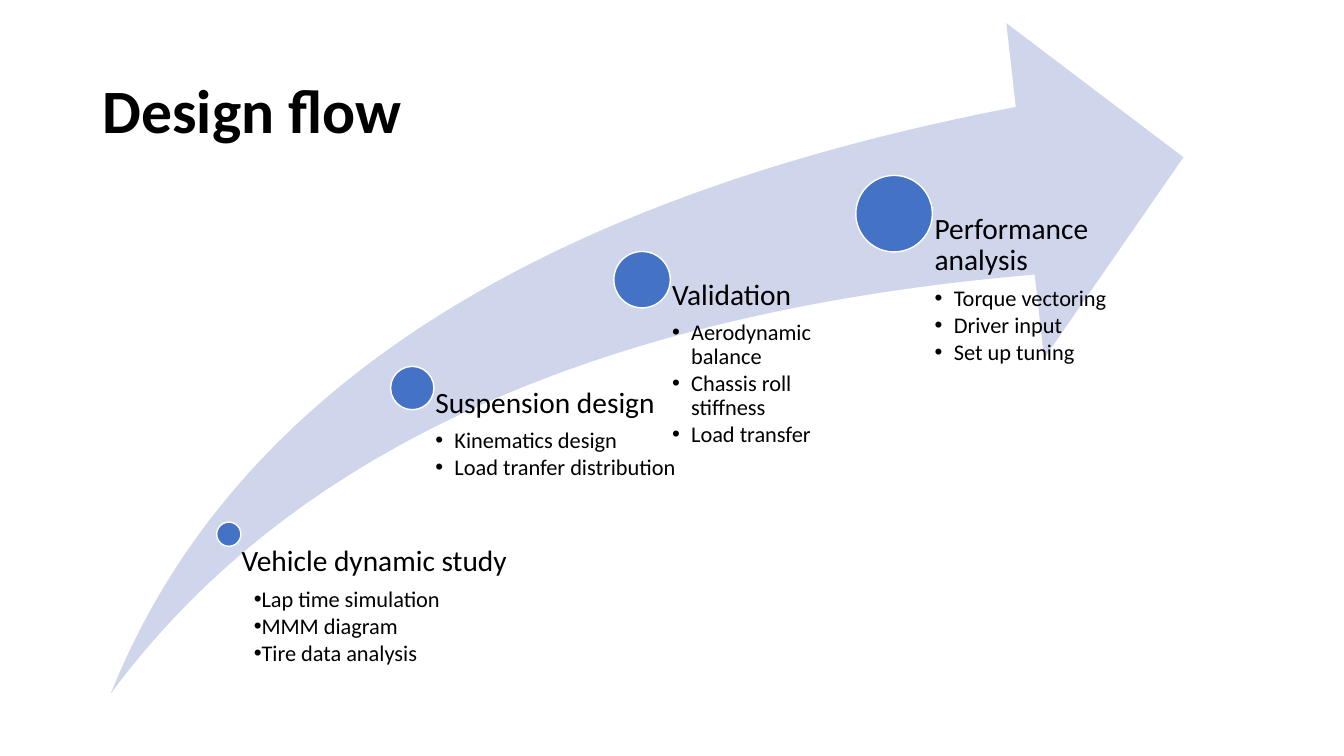
from dataclasses import dataclass

from lxml.etree import SubElement
from pptx import Presentation
from pptx.dml.color import RGBColor
from pptx.enum.shapes import MSO_SHAPE
from pptx.enum.text import MSO_ANCHOR
from pptx.oxml.ns import qn
from pptx.util import Inches, Pt


@dataclass(frozen=True)
class Theme:
    font: str = "Calibri"
    ink: str = "000000"
    swoosh: str = "CFD5EA"
    dot: str = "4472C4"
    outline: str = "FFFFFF"
    title: int = 44
    heading: int = 21
    bullet: int = 16


@dataclass(frozen=True)
class Stage:
    x: float  # centre of the dot, in grid columns
    y: float  # centre of the dot, in grid rows
    size: float
    width: float
    heading: str
    bullets: tuple
    drop: float = 0  # rows from the dot centre to the text
    margin: float = 1.9
    hanging: float = 1.9


THEME = Theme()
COLS, ROWS = 133.33, 75  # ten grid cells to the inch
TEXT_BOTTOM = 68.9

STAGES = (
    Stage(22.7, 53, 2.4, 28.2, "Vehicle dynamic study",
          ("Lap time simulation", "MMM diagram", "Tire data analysis"),
          drop=1.2, margin=1.2, hanging=0),
    Stage(40.9, 38.5, 4.3, 29.1, "Suspension design",
          ("Kinematics design", "Load tranfer distribution")),
    Stage(63.7, 27.75, 5.6, 22.4, "Validation",
          ("Aerodynamic balance", "Chassis roll stiffness", "Load transfer")),
    Stage(88.7, 21.2, 7.6, 22.4, "Performance analysis",
          ("Torque vectoring", "Driver input", "Set up tuning")),
)


def cells(n):
    return Inches(n / 10)


def add_filled(slide, kind, x, y, w, h, fill, line=None):
    sp = slide.shapes.add_shape(kind, *map(cells, (x, y, w, h)))
    sp.shadow.inherit = False
    sp.fill.solid()
    sp.fill.fore_color.rgb = RGBColor.from_string(fill)
    if line:
        sp.line.color.rgb = RGBColor.from_string(line)
        sp.line.width = Pt(1)
    else:
        sp.line.fill.background()
    return sp


def add_text_frame(slide, x, y, w, h):
    tf = slide.shapes.add_textbox(*map(cells, (x, y, w, h))).text_frame
    tf.word_wrap = True
    return tf


def write(p, text, size, bold=False, after=0):
    p.text = text
    p.line_spacing = 0.9
    p.space_after = Pt(after)
    font = p.runs[0].font
    font.name, font.size, font.bold = THEME.font, Pt(size), bold
    font.color.rgb = RGBColor.from_string(THEME.ink)


def add_bullet(p, margin, hanging):
    pPr = p._p.get_or_add_pPr()
    pPr.set("marL", str(cells(margin)))
    pPr.set("indent", str(-cells(hanging)))
    SubElement(pPr, qn("a:buFont")).set("typeface", "Arial")
    SubElement(pPr, qn("a:buChar")).set("char", "•")


def add_title(slide, text):
    tf = add_text_frame(slide, 9.2, 4, 115, 14.5)
    tf.vertical_anchor = MSO_ANCHOR.MIDDLE
    write(tf.paragraphs[0], text, THEME.title, bold=True)


def add_stage(slide, stage):
    # Dot on the arrow
    radius = stage.size / 2
    add_filled(slide, MSO_SHAPE.OVAL, stage.x - radius, stage.y - radius,
               stage.size, stage.size, THEME.dot, THEME.outline)

    # Text starts at the dot's centre, inset past its edge
    top = stage.y + stage.drop
    tf = add_text_frame(slide, stage.x, top, stage.width, TEXT_BOTTOM - top)
    tf.margin_left = cells(stage.size * 0.53)
    tf.margin_top = tf.margin_right = tf.margin_bottom = 0
    write(tf.paragraphs[0], stage.heading, THEME.heading, after=7)
    for text in stage.bullets:
        p = tf.add_paragraph()
        p.level = 1
        write(p, text, THEME.bullet, after=2)
        add_bullet(p, stage.margin, stage.hanging)


def main():
    prs = Presentation()
    prs.slide_width, prs.slide_height = cells(COLS), cells(ROWS)
    slide = prs.slides.add_slide(prs.slide_layouts[6])

    # Rising arrow
    arrow = add_filled(slide, MSO_SHAPE.SWOOSH_ARROW, 11, 2.3, 106.4, 66.5,
                       THEME.swoosh)
    arrow.adjustments[0] = arrow.adjustments[1] = 0.25

    # Stages along the arrow
    for stage in STAGES:
        add_stage(slide, stage)

    add_title(slide, "Design flow")
    prs.save("out.pptx")


if __name__ == "__main__":
    main()
